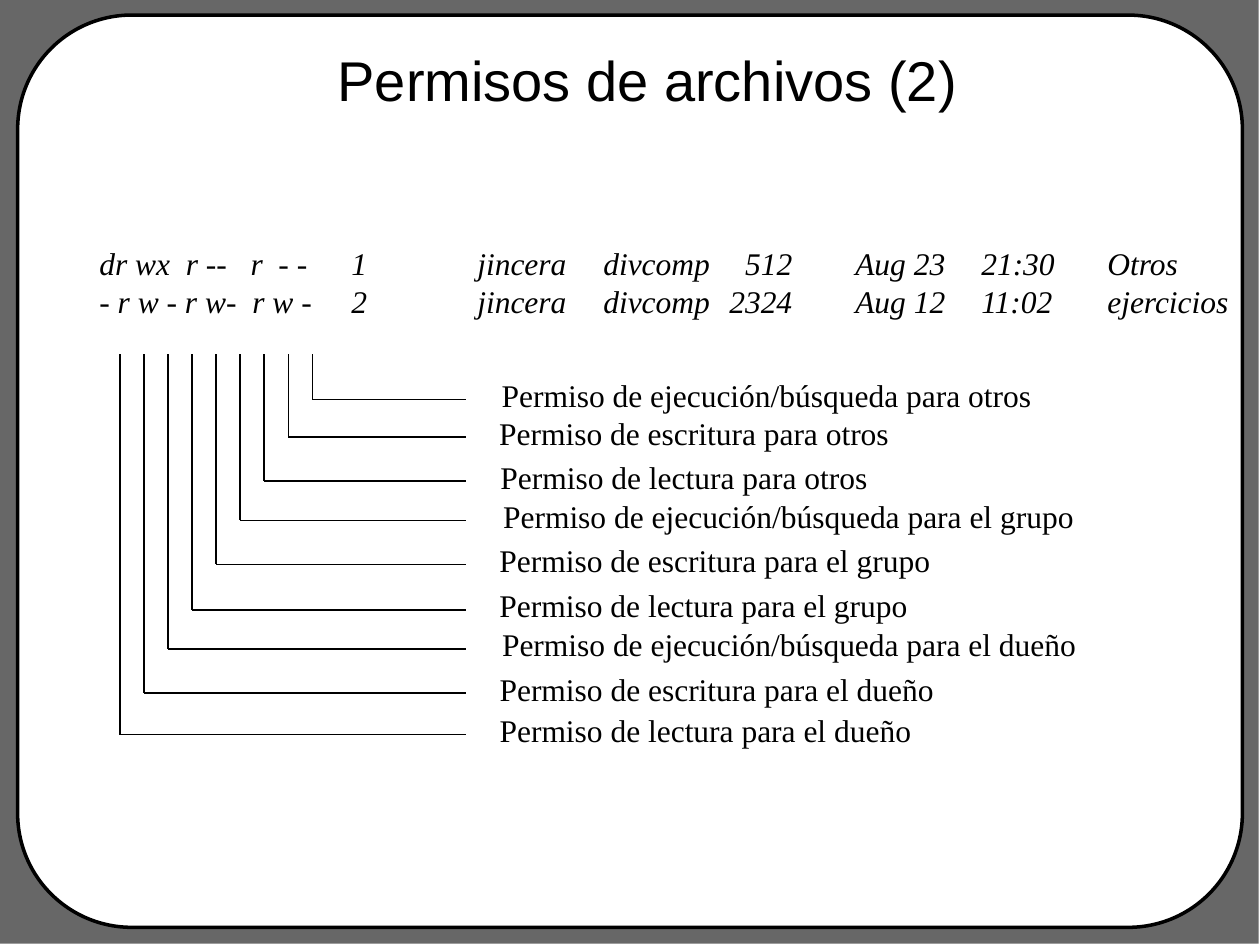
"""Builds a slide that explains each letter of a file permission string."""
from lxml import etree
from pptx import Presentation, util as u
from pptx.dml.color import RGBColor
from pptx.enum import shapes, text
from pptx.oxml.ns import qn

BLACK = RGBColor(0x00, 0x00, 0x00)
WHITE = RGBColor(0xFF, 0xFF, 0xFF)
GRAY = RGBColor(0x67, 0x67, 0x67)
COLS, ROWS = 100, 75


class Deck:
    """Holds the style and the current slide; lengths are grid columns and rows."""

    body, heading = "Times New Roman", "Arial"

    def __init__(self):
        self.prs = Presentation()
        self.prs.slide_width, self.prs.slide_height = u.Inches(10), u.Inches(7.5)
        self.s = self.prs.slides.add_slide(self.prs.slide_layouts[6])

    def x(self, cols):
        return round(self.prs.slide_width * cols / COLS)

    def y(self, rows):
        return round(self.prs.slide_height * rows / ROWS)

    def box(self, left, top, width, height):
        return self.x(left), self.y(top), self.x(width), self.y(height)

    def panel(self, kind, at, fill, line=None):
        sp = self.s.shapes.add_shape(kind, *self.box(*at))
        sp.shadow.inherit = False
        sp.fill.solid()
        sp.fill.fore_color.rgb = fill
        if line:
            sp.line.color.rgb = BLACK
            sp.line.width = u.Pt(line)
        else:
            sp.line.fill.background()
        return sp

    def label(self, at, lines, size=18, font=body, italic=False,
              align=text.PP_ALIGN.CENTER, wrap=False, tabs=()):
        sp = self.s.shapes.add_textbox(*self.box(*at))
        tf = sp.text_frame
        tf.word_wrap = wrap
        if wrap:
            tf.vertical_anchor = text.MSO_ANCHOR.MIDDLE
        else:
            tf.auto_size = text.MSO_AUTO_SIZE.SHAPE_TO_FIT_TEXT
        p = tf.paragraphs[0]
        p.alignment = align
        for i, line in enumerate(lines):
            if i:
                p.add_line_break()
            r = p.add_run()
            r.text = line
            r.font.name, r.font.size, r.font.italic = font, u.Pt(size), italic
            r.font.color.rgb = BLACK
        if tabs:
            stops = etree.SubElement(p._p.get_or_add_pPr(), qn("a:tabLst"))
            for col, side in tabs:
                etree.SubElement(stops, qn("a:tab"), pos=str(self.x(col)), algn=side)
        return sp

    def line(self, x1, y1, x2, y2):
        c = self.s.shapes.add_connector(shapes.MSO_CONNECTOR.STRAIGHT,
                                        self.x(x1), self.y(y1), self.x(x2), self.y(y2))
        c.line.color.rgb = BLACK
        c.line.width = u.Pt(1)
        etree.SubElement(c._element.spPr, qn("a:effectLst"))
        return c


LISTING = [
    ("dr wx  r --   r  - -", "1", "jincera", "divcomp", "512", "Aug 23", "21:30", "Otros"),
    ("- r w - r w-  r w -", "2", "jincera", "divcomp", "2324", "Aug 12", "11:02", "ejercicios"),
]
TABS = [(20, "l"), (30, "l"), (40, "l"), (55, "r"), (60, "l"), (70, "l"), (80, "l")]
ACTIONS = ["ejecución/búsqueda", "escritura", "lectura"]
GROUPS = ["otros", "el grupo", "el dueño"]
LEVELS = [31.7, 34.7, 38.2, 41.3, 44.8, 48.4, 51.5, 55, 58.3]
WIDTHS = [44.1, 33, 31.4, 47.6, 36.3, 34.5, 47.7, 36.6, 34.8]
PERMISSIONS = [(action, group) for group in GROUPS for action in ACTIONS]
LETTER_TOP, LAST_LETTER, LETTER_GAP, LEAD_END = 28.1, 24.8, 1.91, 37

deck = Deck()
deck.panel(shapes.MSO_SHAPE.RECTANGLE, (0, 0, 99.9, 74.9), GRAY)
frame = deck.panel(shapes.MSO_SHAPE.ROUNDED_RECTANGLE, (1.4, 1.2, 97.2, 72.4), WHITE, 2)
frame.adjustments[0] = 0.125
deck.label((8.9, 0, 85, 12.5), ["Permisos de archivos (2)"], 32, Deck.heading, wrap=True)
deck.label((6.9, 18.9, 91.7, 7), ["\t".join(row) for row in LISTING], italic=True,
           align=text.PP_ALIGN.LEFT, tabs=TABS)

for i, ((action, group), level, width) in enumerate(zip(PERMISSIONS, LEVELS, WIDTHS)):
    letter = LAST_LETTER - i * LETTER_GAP
    deck.line(letter, LETTER_TOP, letter, level)
    deck.line(letter, level, LEAD_END, level)
    left = 38.8 if action == ACTIONS[0] else 38.6
    deck.label((left, level - 2.35, width, 4), [f"Permiso de {action} para {group}"])

deck.prs.save("out.pptx")
